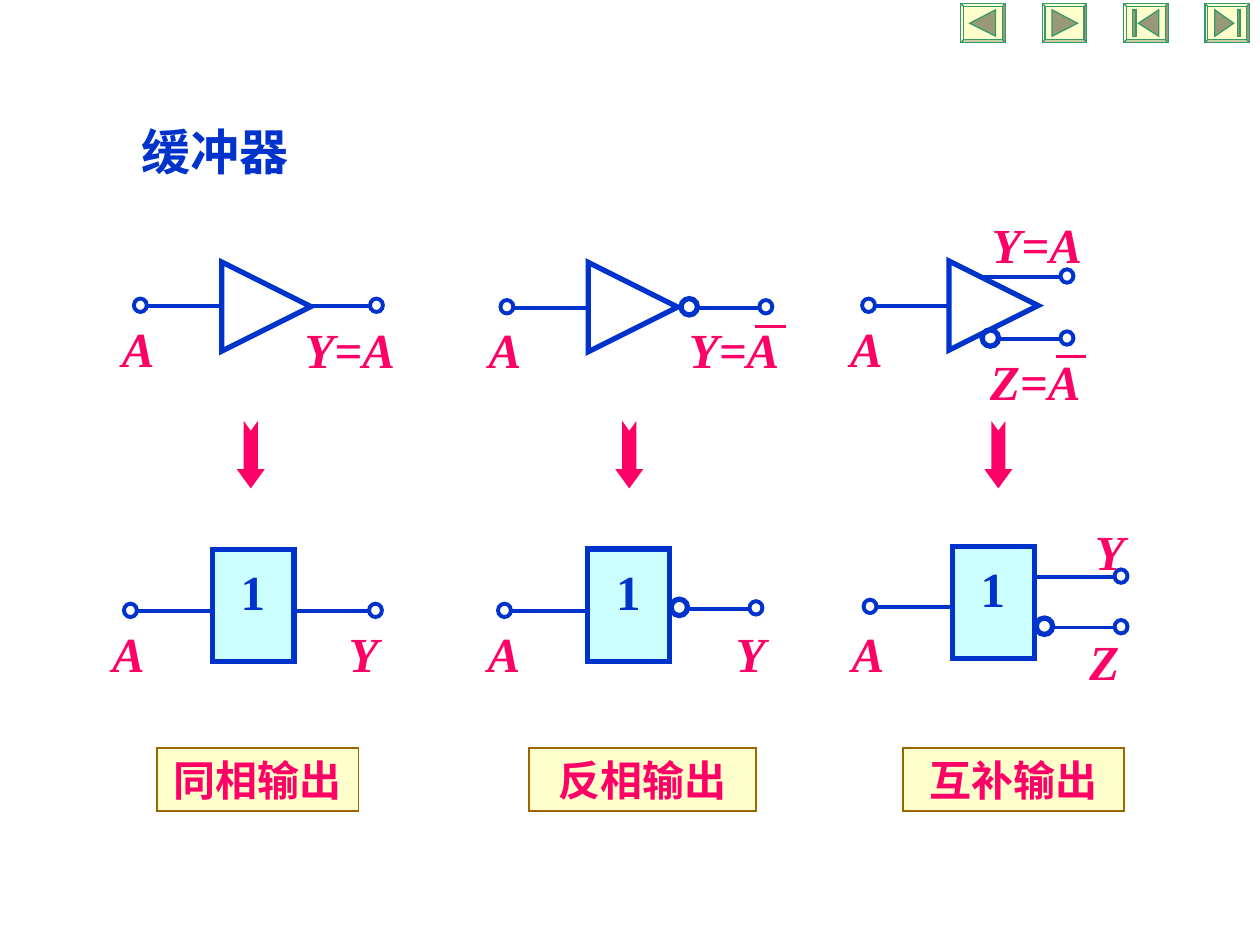
"""Build a slide of buffer symbols with plain, inverted and complementary outputs."""
from lxml import etree
from pptx import Presentation, util as u
from pptx.dml.color import RGBColor
from pptx.enum import shapes as s, text as t
from pptx.oxml.ns import qn

BLUE, PINK, CREAM = "0033CC", "FF0066", "FFFFCC"


def paint(shape, fill, line, width):
    if hasattr(shape, "fill"):
        if fill:
            shape.fill.solid()
            shape.fill.fore_color.rgb = RGBColor.from_string(fill)
        else:
            shape.fill.background()
    shape.line.color.rgb = RGBColor.from_string(line)
    shape.line.width = u.Pt(width)
    properties = shape._element.spPr
    etree.SubElement(properties.find(qn("a:ln")), qn("a:miter"), lim="800000")
    etree.SubElement(properties, qn("a:effectLst"))


def write(shape, words, size, color, align, italic=False):
    frame = shape.text_frame
    frame.text = words
    frame.vertical_anchor = t.MSO_ANCHOR.TOP
    paragraph = frame.paragraphs[0]
    paragraph.alignment = align
    paragraph.space_before = u.Pt(0)
    paragraph.line_spacing = 1.0
    font = paragraph.runs[0].font
    font.name, font.size, font.bold, font.italic = "Times New Roman", u.Pt(size), True, italic
    font.color.rgb = RGBColor.from_string(color)


presentation = Presentation()
presentation.slide_width, presentation.slide_height = u.Cm(25.4), u.Cm(19.05)
slide = presentation.slides.add_slide(presentation.slide_layouts[5])
shapes = slide.shapes

title = shapes.title
title.left, title.top, title.width, title.height = u.Cm(2.6), u.Cm(2.33), u.Cm(4.09), u.Cm(1.45)
write(title, "缓冲器", 28, BLUE, t.PP_ALIGN.LEFT)

for left, top in [(4.47, 5.28), (11.86, 5.29), (19.13, 5.26)]:
    triangle = shapes.add_shape(s.MSO_SHAPE.FLOWCHART_MERGE, u.Cm(left), u.Cm(top), u.Cm(1.8), u.Cm(1.8))
    triangle.rotation = 270
    paint(triangle, None, BLUE, 3)

blocks = [(4.28, 11.08), (11.85, 11.07), (19.2, 11.02)]
for left, top in blocks:
    block = shapes.add_shape(s.MSO_SHAPE.RECTANGLE, u.Cm(left), u.Cm(top), u.Cm(1.65), u.Cm(2.26))
    paint(block, "CCFFFF", BLUE, 3)

wires = [
    (4.47, 2.97, 6.17), (6.22, 7.49, 6.17),
    (11.86, 10.36, 6.2), (14.1, 15.34, 6.2),
    (19.15, 17.65, 6.17), (19.76, 21.41, 5.58), (20.14, 21.41, 6.83),
    (4.27, 2.77, 12.32), (5.94, 7.47, 12.32),
    (11.84, 10.31, 12.32), (13.89, 15.14, 12.27),
    (19.18, 17.68, 12.24), (20.88, 22.5, 11.63), (21.23, 22.5, 12.65),
]
overbars = [(15.21, 15.85, 6.58), (21.29, 21.89, 7.19)]
for lines, color, width in [(wires, BLUE, 2.25), (overbars, PINK, 1.5)]:
    for start, end, y in lines:
        connector = shapes.add_connector(s.MSO_CONNECTOR.STRAIGHT, u.Cm(start), u.Cm(y), u.Cm(end), u.Cm(y))
        paint(connector, None, color, width)

for start, end, y in wires:
    center = end + (0.1 if end > start else -0.14)
    terminal = shapes.add_shape(s.MSO_SHAPE.OVAL, u.Cm(center - 0.13), u.Cm(y - 0.15), u.Cm(0.26), u.Cm(0.27))
    paint(terminal, None, BLUE, 2.25)

for left, top in [(13.73, 6.02), (19.8, 6.65), (13.53, 12.08), (20.89, 12.46)]:
    bubble = shapes.add_shape(s.MSO_SHAPE.OVAL, u.Cm(left), u.Cm(top), u.Cm(0.33), u.Cm(0.33))
    paint(bubble, None, BLUE, 3)

label_widths = {"A": 1.17, "Y": 1.12, "Z": 1.12, "1": 0.99, "Y=A": 2.5, "Z=A": 2.5}
labels = [
    ("A", 2.21, 6.3), ("Y=A", 5.89, 6.32),
    ("A", 9.6, 6.32), ("Y=A", 13.64, 6.32),
    ("A", 16.89, 6.3), ("Y=A", 19.74, 4.19), ("Z=A", 19.71, 6.96),
    ("A", 2.01, 12.45), ("Y", 6.78, 12.45),
    ("A", 9.58, 12.45), ("Y", 14.58, 12.45),
    ("A", 16.92, 12.45), ("Y", 21.82, 10.39), ("Z", 21.71, 12.6),
] + [("1", left + 0.32, top + 0.12) for left, top in blocks]
for words, left, top in labels:
    label = shapes.add_textbox(u.Cm(left), u.Cm(top), u.Cm(label_widths[words]), u.Cm(1.45))
    label.text_frame.word_wrap = False
    label.text_frame.auto_size = t.MSO_AUTO_SIZE.SHAPE_TO_FIT_TEXT
    is_digit = words == "1"
    write(label, words, 28, BLUE if is_digit else PINK, t.PP_ALIGN.LEFT, not is_digit)

for left in (4.47, 12.1, 19.54):
    arrow = shapes.add_shape(s.MSO_SHAPE.NOTCHED_RIGHT_ARROW, u.Cm(left), u.Cm(8.99), u.Cm(1.17), u.Cm(0.41))
    arrow.rotation = 90
    arrow.adjustments[0], arrow.adjustments[1] = 0.5, 0.69
    paint(arrow, PINK, PINK, 2.25)

for words, left, width in [("同相输出", 3.17, 4.06), ("反相输出", 10.67, 4.57), ("互补输出", 18.21, 4.45)]:
    caption = shapes.add_shape(s.MSO_SHAPE.RECTANGLE, u.Cm(left), u.Cm(15.08), u.Cm(width), u.Cm(1.27))
    paint(caption, CREAM, "996600", 1)
    write(caption, words, 24, PINK, t.PP_ALIGN.CENTER)

button_icons = [
    [[(18, 40), (70, 13), (70, 66)]],
    [[(20, 13), (71, 40), (20, 66)]],
    [[(30, 40), (71, 13), (71, 66)], [(18, 13), (25, 13), (25, 66), (18, 66)]],
    [[(20, 13), (58, 40), (20, 66)], [(66, 13), (71, 13), (71, 66), (66, 66)]],
]
for index, icon in enumerate(button_icons):
    left, top = u.Cm(19.37 + 1.64 * index), u.Cm(0.07)
    button = shapes.add_shape(s.MSO_SHAPE.BEVEL, left, top, u.Cm(0.9), u.Cm(0.79))
    button.adjustments[0] = 0.07
    paint(button, CREAM, "339966", 0.75)
    for first, *others in icon:
        builder = shapes.build_freeform(*first, scale=u.Cm(0.01))
        builder.add_line_segments(others, close=True)
        paint(builder.convert_to_shape(left, top), "999979", "339966", 0.75)

presentation.save("out.pptx")
